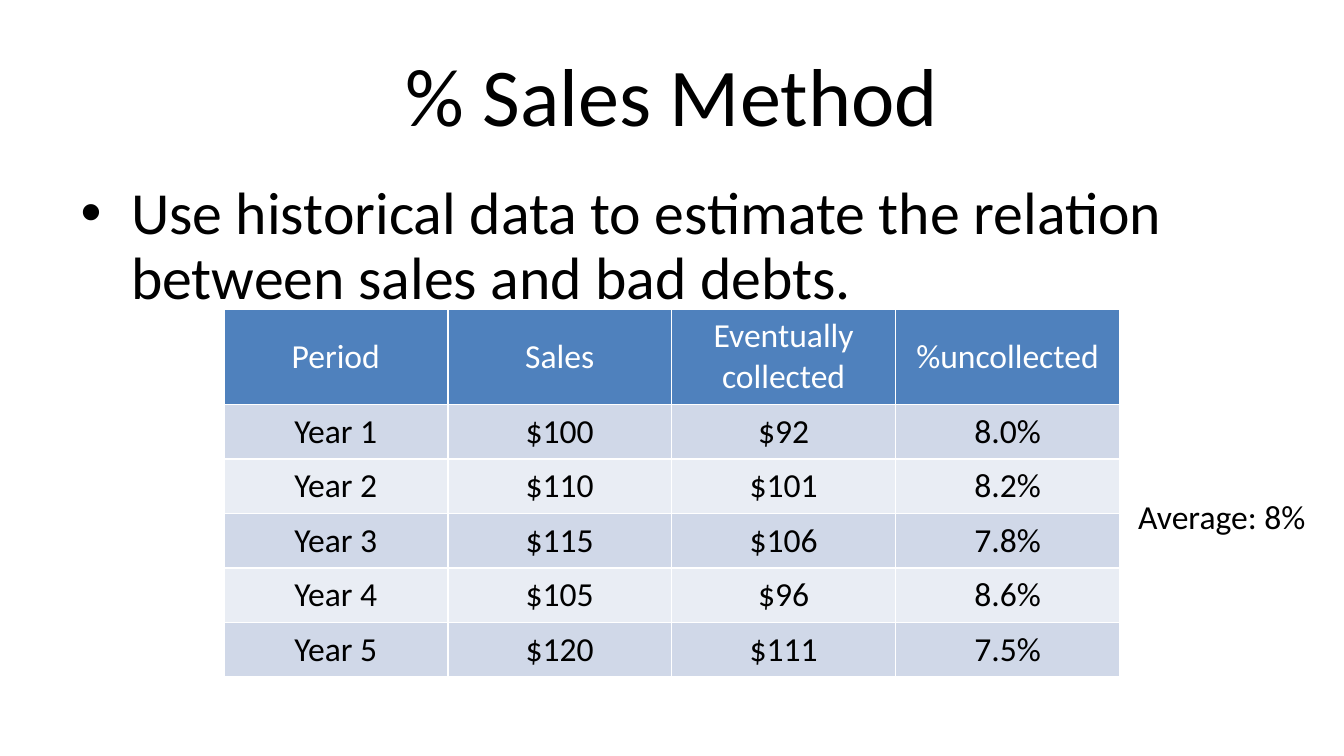
from pptx import Presentation
from pptx.dml.color import RGBColor
from pptx.enum.text import MSO_ANCHOR, PP_ALIGN
from pptx.util import Cm, Pt

CENTER, LEFT = PP_ALIGN.CENTER, PP_ALIGN.LEFT
MIDDLE, TOP = MSO_ANCHOR.MIDDLE, MSO_ANCHOR.TOP
BLACK, WHITE, BLUE = "000000", "FFFFFF", "4F81BD"
BANDS = ["D0D8E8", "E9EDF4"]
HEAD = 1.8
ROWS = [
    ["Period", "Sales", "Eventually collected", "%uncollected"],
    ["Year 1", "$100", "$92", "8.0%"],
    ["Year 2", "$110", "$101", "8.2%"],
    ["Year 3", "$115", "$106", "7.8%"],
    ["Year 4", "$105", "$96", "8.6%"],
    ["Year 5", "$120", "$111", "7.5%"],
]


def color(code):
    """Turn a hex string into a colour."""
    return RGBColor.from_string(code)


def apply(target, values):
    """Set each attribute named in a dict."""
    for name, value in values.items():
        setattr(target, name, value)


def place(shape, box):
    """Move a shape to a box given in centimetres."""
    apply(shape, dict(zip(("left", "top", "width", "height"), map(Cm, box))))


def write(frame, text, size, code=BLACK, **layout):
    """Write one formatted paragraph into a text frame."""
    para = frame.paragraphs[0]
    run = para.add_run()
    run.text = text
    apply(para, layout)
    apply(run.font, {"name": "Calibri", "size": Pt(size), "bold": False})
    run.font.color.rgb = color(code)


def add_title(slide, box):
    """Fill the title placeholder."""
    title = slide.shapes.title
    place(title, box)
    title.text_frame.vertical_anchor = MIDDLE
    write(title.text_frame, "% Sales Method", 44, alignment=CENTER)


def add_body(slide, box):
    """Fill the bulleted body placeholder."""
    body = slide.placeholders[1]
    place(body, box)
    body.text_frame.vertical_anchor = TOP
    text = "Use historical data to estimate the relation between sales and bad debts."
    write(body.text_frame, text, 32, alignment=LEFT, line_spacing=0.9,
          space_before=Pt(0))


def add_grid(slide, box):
    """Build the sales table with a header and banded rows."""
    count = len(ROWS)
    frame = slide.shapes.add_table(count, len(ROWS[0]), *map(Cm, box))
    table = frame.table
    for col in table.columns:
        col.width = Cm(box[2] / len(ROWS[0]))
    for i, texts in enumerate(ROWS):
        first = i == 0
        table.rows[i].height = Cm(HEAD if first else (box[3] - HEAD) / (count - 1))
        for j, text in enumerate(texts):
            cell = table.cell(i, j)
            cell.fill.solid()
            cell.fill.fore_color.rgb = color(BLUE if first else BANDS[(i - 1) % 2])
            cell.vertical_anchor = MIDDLE if first else TOP
            write(cell.text_frame, text, 18, WHITE if first else BLACK,
                  alignment=CENTER)


def add_note(slide, box):
    """Add the average beside the table."""
    note = slide.shapes.add_textbox(*map(Cm, box))
    note.text_frame.word_wrap = False
    write(note.text_frame, "Average: 8%", 18, alignment=LEFT)


def main():
    """Build and save the slide."""
    deck = Presentation()
    apply(deck, {"slide_width": Cm(25.4), "slide_height": Cm(14.29)})
    slide = deck.slides.add_slide(deck.slide_layouts[1])
    add_title(slide, (1.27, 0.58, 22.86, 2.38))
    add_body(slide, (1.27, 3.33, 22.86, 9.43))
    add_grid(slide, (4.23, 5.84, 16.93, 6.95))
    add_note(slide, (21.26, 9.25, 3.7, 1.02))
    deck.save("out.pptx")


if __name__ == "__main__":
    main()
